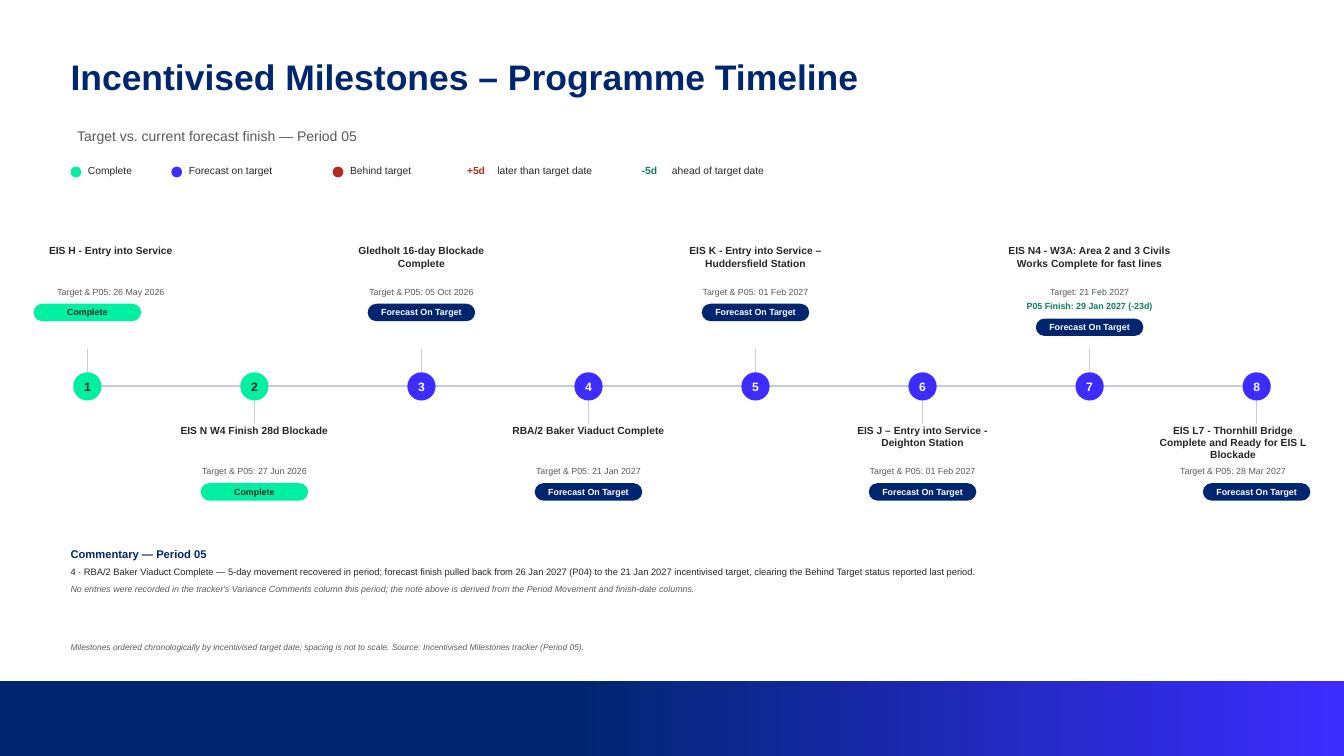
import lxml.etree
import pptx
import pptx.dml.color
import pptx.enum.shapes
import pptx.enum.text
import pptx.oxml.ns
import pptx.util

Pt = pptx.util.Pt
SHAPE = pptx.enum.shapes.MSO_SHAPE
ALIGN = pptx.enum.text.PP_ALIGN
ANCHOR = pptx.enum.text.MSO_ANCHOR
AUTO = pptx.enum.text.MSO_AUTO_SIZE

COLORS = {
    "navy": "00266F", "blue": "3D2CFF", "mint": "00F0A2", "red": "B32D1E",
    "green": "0E7C61", "ink": "262626", "gray": "595959", "rule": "C7CCD6",
    "white": "FFFFFF",
}


def rgb(name):
    return pptx.dml.color.RGBColor.from_string(COLORS[name])


class Deck:
    """Style and current slide, with one method per kind of element."""
    font = "Arial"

    def __init__(self, width, height):
        self.prs = pptx.Presentation()
        self.prs.slide_width, self.prs.slide_height = Pt(width), Pt(height)
        self.s = self.prs.slides.add_slide(self.prs.slide_layouts[6])

    def set_text(self, sp, text, size, color, bold=False, italic=False, center=False):
        tf = sp.text_frame
        tf.margin_left = tf.margin_right = tf.margin_top = tf.margin_bottom = 0
        tf.text = text
        p = tf.paragraphs[0]
        p.alignment = ALIGN.CENTER if center else ALIGN.LEFT
        f = p.runs[0].font
        f.name, f.size, f.bold, f.italic = self.font, Pt(size), bold, italic
        f.color.rgb = rgb(color)
        return tf

    def text(self, x, y, w, h, text, size, color, **style):
        sp = self.s.shapes.add_textbox(Pt(x), Pt(y), Pt(w), Pt(h))
        tf = self.set_text(sp, text, size, color, **style)
        tf.word_wrap = True
        tf.auto_size = AUTO.SHAPE_TO_FIT_TEXT
        return tf

    def shape(self, kind, x, y, w, h, fill):
        sp = self.s.shapes.add_shape(kind, Pt(x), Pt(y), Pt(w), Pt(h))
        sp.shadow.inherit = False
        sp.line.fill.background()
        sp.fill.solid()
        sp.fill.fore_color.rgb = rgb(fill)
        return sp

    def label_shape(self, sp, text, size, color, wrap=True):
        tf = self.set_text(sp, text, size, color, bold=True, center=True)
        tf.vertical_anchor = ANCHOR.MIDDLE
        tf.word_wrap = wrap

    def pill(self, x, y, w, h, fill, text, color):
        sp = self.shape(SHAPE.ROUNDED_RECTANGLE, x, y, w, h, fill)
        sp.adjustments[0] = 0.5
        self.label_shape(sp, text, 9.5, color)

    def dot(self, x, y, d, fill):
        return self.shape(SHAPE.OVAL, x, y, d, d, fill)

    def line(self, x1, y1, x2, y2, width):
        c = self.s.shapes.add_connector(
            pptx.enum.shapes.MSO_CONNECTOR.STRAIGHT, Pt(x1), Pt(y1), Pt(x2), Pt(y2))
        c.line.color.rgb = rgb("rule")
        c.line.width = Pt(width)
        lxml.etree.SubElement(c._element.spPr, pptx.oxml.ns.qn("a:effectLst"))

    def gradient_band(self, x, y, w, h, stops):
        sp = self.shape(SHAPE.RECTANGLE, x, y, w, h, stops[0][1])
        sp.fill.gradient()
        sp.fill.gradient_angle = 0
        for stop, (position, color) in zip(sp.fill.gradient_stops, stops):
            stop.position = position
            stop.color.rgb = rgb(color)


LEFT, WIDTH = 75.6, 1288.8
AXIS_Y, AXIS_START, AXIS_END = 414, 93.6, 1346.4
NODE, STEM = 30.24, 25.2
LABEL_W, PILL_W, PILL_H = 180, 115.2, 18.72
LABEL_MIN, LABEL_MAX = 28.8, 1231.2
ABOVE_Y, BELOW_Y = 262.08, 454.32

# Status: node fill, node text, pill fill, pill text
STATUS = {
    "Complete": ("mint", "ink", "mint", "ink"),
    "Forecast On Target": ("blue", "white", "navy", "white"),
}
DONE, ON_TARGET = STATUS

# Name, target date, status, differing forecast finish
MILESTONES = [
    ("EIS H - Entry into Service", "26 May 2026", DONE, None),
    ("EIS N W4 Finish 28d Blockade", "27 Jun 2026", DONE, None),
    ("Gledholt 16-day Blockade Complete", "05 Oct 2026", ON_TARGET, None),
    ("RBA/2 Baker Viaduct Complete", "21 Jan 2027", ON_TARGET, None),
    ("EIS K - Entry into Service – Huddersfield Station", "01 Feb 2027", ON_TARGET, None),
    ("EIS J – Entry into Service - Deighton Station", "01 Feb 2027", ON_TARGET, None),
    ("EIS N4 - W3A: Area 2 and 3 Civils Works Complete for fast lines",
     "21 Feb 2027", ON_TARGET, "29 Jan 2027 (-23d)"),
    ("EIS L7 - Thornhill Bridge Complete and Ready for EIS L Blockade",
     "28 Mar 2027", ON_TARGET, None),
]


def add_milestone(deck, i, name, target, status, finish):
    node_fill, node_ink, pill_fill, pill_ink = STATUS[status]
    x = AXIS_START + i * (AXIS_END - AXIS_START) / (len(MILESTONES) - 1)
    above = i % 2 == 0

    # Numbered node and stem
    node = deck.dot(x - NODE / 2, AXIS_Y - NODE / 2, NODE, node_fill)
    deck.label_shape(node, str(i + 1), 13, node_ink, wrap=False)
    side = -1 if above else 1
    edge = AXIS_Y + side * NODE / 2
    deck.line(x, edge, x, edge + side * STEM, 1.25)

    # Name and dates, kept inside the slide margins
    y = ABOVE_Y if above else BELOW_Y
    left = min(max(x - LABEL_W / 2, LABEL_MIN), LABEL_MAX)
    deck.text(left, y, LABEL_W, 44.64, name, 11, "ink", bold=True, center=True)
    y += 44.64
    prefix = "Target" if finish else "Target & P05"
    deck.text(left, y, LABEL_W, 16, f"{prefix}: {target}", 9.5, "gray", center=True)
    if finish:
        y += 15.84
        deck.text(left, y, LABEL_W, 16, f"P05 Finish: {finish}", 9.5, "green",
                  bold=True, center=True)

    # Status pill
    deck.pill(x - PILL_W / 2, y + 18.72, PILL_W, PILL_H, pill_fill, status, pill_ink)


def main():
    deck = Deck(1440, 810)

    # Footer band
    deck.gradient_band(0, 730, 1440, 80, [(0.42, "navy"), (1, "blue")])

    # Title and subtitle
    tf = deck.text(LEFT, 64.08, WIDTH, 86.4, "Incentivised Milestones – Programme Timeline",
                   38, "navy", bold=True)
    tf.auto_size = AUTO.NONE
    tf.paragraphs[0].line_spacing = 0.9
    tf = deck.text(LEFT, 133.2, 1008, 36,
                   "Target vs. current forecast finish — Period 05", 15, "gray")
    tf.margin_left = tf.margin_right = Pt(7.2)
    tf.margin_top = tf.margin_bottom = Pt(3.6)

    # Legend: status dots, then variance keys
    legend_y = 176.4
    for x, w, color, label in [(LEFT, 79.2, "mint", "Complete"),
                               (183.6, 136.8, "blue", "Forecast on target"),
                               (356.4, 108, "red", "Behind target")]:
        deck.dot(x, legend_y + 2.16, 11.52, color)
        deck.text(x + 18.72, legend_y, w, 21.6, label, 11, "ink")
    for x, w, color, key, label in [(500.4, 136.8, "red", "+5d", "later than target date"),
                                    (687.6, 129.6, "green", "-5d", "ahead of target date")]:
        deck.text(x, legend_y, 36, 21.6, key, 11, color, bold=True)
        deck.text(x + 32.4, legend_y, w, 21.6, label, 11, "ink")

    # Timeline
    deck.line(AXIS_START, AXIS_Y, AXIS_END, AXIS_Y, 2.25)
    for i, milestone in enumerate(MILESTONES):
        add_milestone(deck, i, *milestone)

    # Commentary and source note
    deck.text(LEFT, 586.8, 432, 17.28, "Commentary — Period 05", 12, "navy", bold=True)
    deck.text(LEFT, 606.24, WIDTH, 15.84,
              "4 · RBA/2 Baker Viaduct Complete — 5-day movement recovered in period; "
              "forecast finish pulled back from 26 Jan 2027 (P04) to the 21 Jan 2027 "
              "incentivised target, clearing the Behind Target status reported last period.",
              10, "ink")
    deck.text(LEFT, 624.96, WIDTH, 15.84,
              "No entries were recorded in the tracker's Variance Comments column this "
              "period; the note above is derived from the Period Movement and finish-date "
              "columns.", 9.5, "gray", italic=True)
    deck.text(LEFT, 687.6, WIDTH, 28.8,
              "Milestones ordered chronologically by incentivised target date; spacing is "
              "not to scale. Source: Incentivised Milestones tracker (Period 05).",
              9, "gray", italic=True)

    deck.prs.save("out.pptx")


if __name__ == "__main__":
    main()
